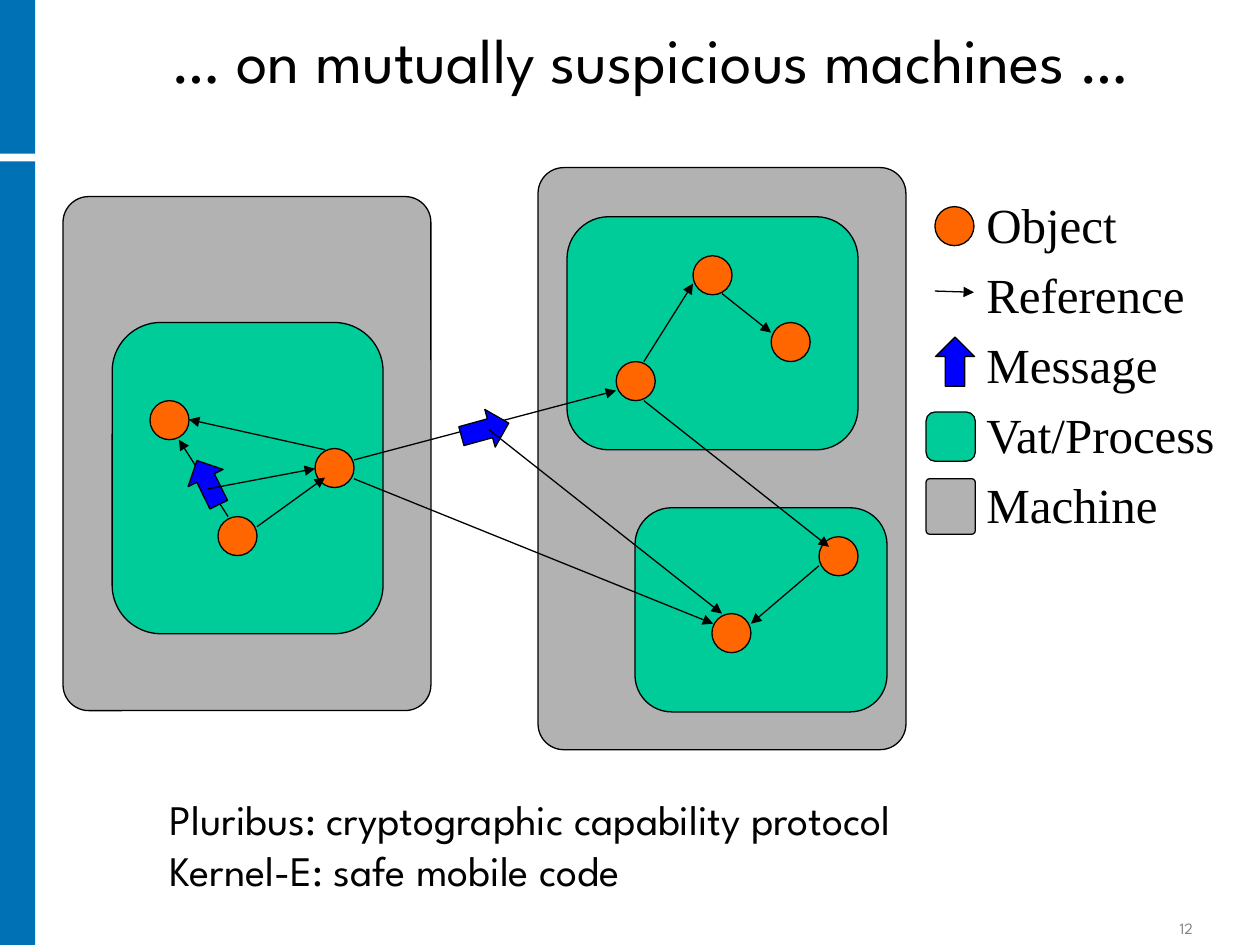
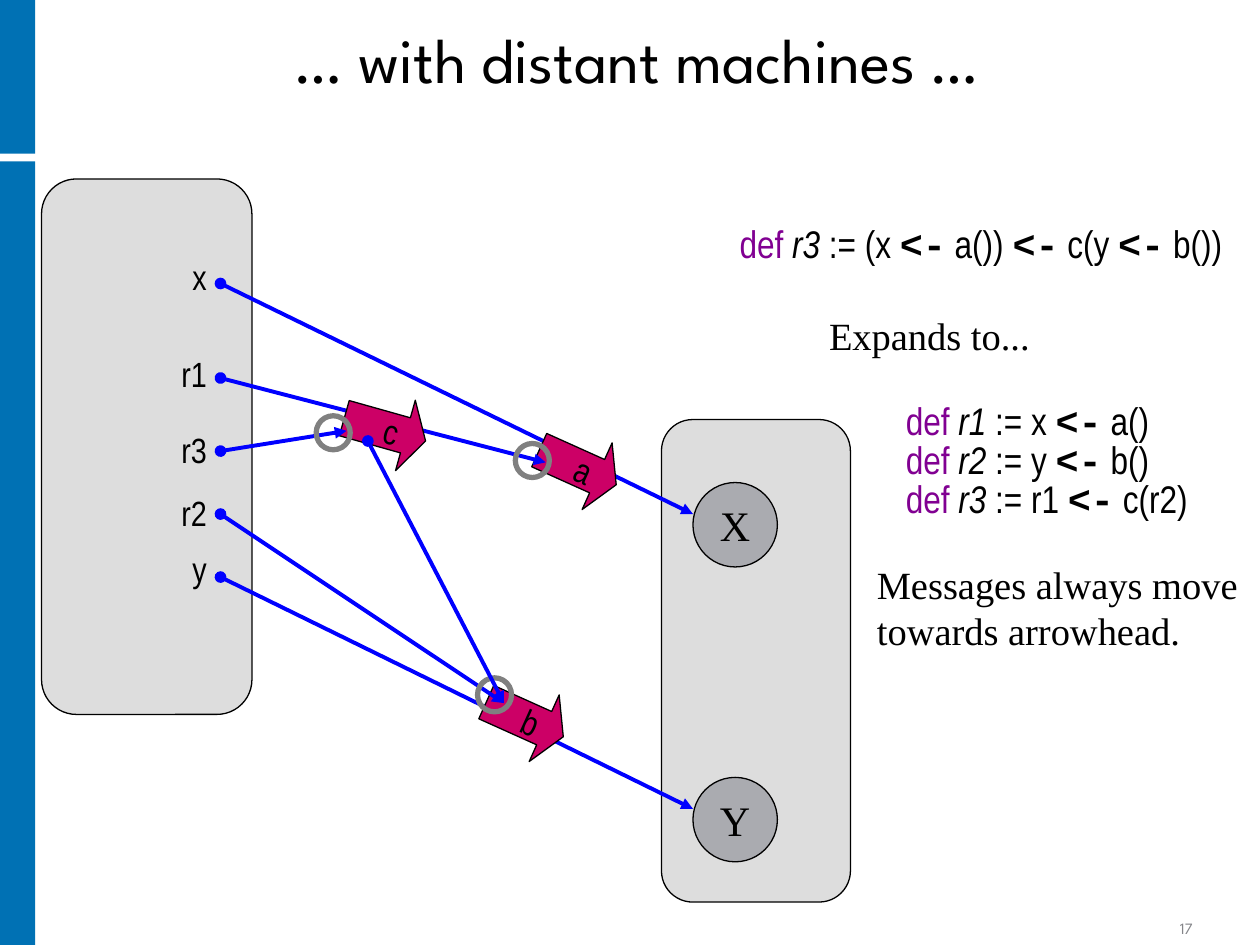
from dataclasses import dataclass

from lxml import etree
from pptx import Presentation
from pptx.dml.color import RGBColor
from pptx.enum.shapes import MSO_CONNECTOR, MSO_SHAPE
from pptx.enum.text import MSO_ANCHOR, PP_ALIGN
from pptx.oxml.ns import qn
from pptx.slide import Slide
from pptx.util import Inches, Pt

RECTANGLE = MSO_SHAPE.RECTANGLE
ROUNDED = MSO_SHAPE.ROUNDED_RECTANGLE
OVAL = MSO_SHAPE.OVAL
UP_ARROW = MSO_SHAPE.UP_ARROW
RIGHT_ARROW = MSO_SHAPE.RIGHT_ARROW
STRAIGHT = MSO_CONNECTOR.STRAIGHT
LEFT, CENTER, RIGHT = PP_ALIGN.LEFT, PP_ALIGN.CENTER, PP_ALIGN.RIGHT
TOP, MIDDLE, BOTTOM = MSO_ANCHOR.TOP, MSO_ANCHOR.MIDDLE, MSO_ANCHOR.BOTTOM

COLORS = {
    "band": "0071B4",
    "black": "000000",
    "machine": "B2B2B2",
    "vat": "00CC99",
    "object": "FF6600",
    "blue": "0000FF",
    "distant_machine": "DDDDDD",
    "distant_object": "AAABB0",
    "call": "CC0066",
    "ring": "808080",
    "keyword": "810092",
    "page_number": "848589",
}
TITLE_FONT = "League Spartan"
SERIF = "Times New Roman"
NARROW = "Arial Narrow"
MONO = "Courier New"

OBJECT_SIZE = 0.31
MESSAGE_WIDTH, MESSAGE_LENGTH = 0.31, 0.39
CALL_WIDTH, CALL_HEIGHT = 0.67, 0.58
RING_SIZE = 0.27


def rgb(name):
    return RGBColor.from_string(COLORS[name])


def write(paragraph, text, font=TITLE_FONT, size=24, color="black", bold=False, italic=False):
    run = paragraph.add_run()
    run.text = text
    run.font.name = font
    run.font.size = Pt(size)
    run.font.bold = bold
    run.font.italic = italic
    run.font.color.rgb = rgb(color)


def write_lines(frame, text, align=LEFT, spacing=1.0, **style):
    for index, line in enumerate(text.split("\n")):
        paragraph = frame.paragraphs[0] if index == 0 else frame.add_paragraph()
        paragraph.alignment = align
        paragraph.line_spacing = spacing
        write(paragraph, line, **style)


@dataclass
class Region:
    """A part of a slide whose contents are measured from its left top corner."""

    slide: Slide
    left: float
    top: float

    def place(self, x, y):
        return Inches(self.left + x), Inches(self.top + y)

    def shape(self, kind, x, y, width, height, fill=None, line="black", weight=0.75,
              corner=None, rotation=0):
        shape = self.slide.shapes.add_shape(
            kind, *self.place(x, y), Inches(width), Inches(height))
        shape.shadow.inherit = False
        shape.rotation = rotation
        if corner is not None:
            shape.adjustments[0] = corner
        if fill:
            shape.fill.solid()
            shape.fill.fore_color.rgb = rgb(fill)
        else:
            shape.fill.background()
        if line:
            shape.line.color.rgb = rgb(line)
            shape.line.width = Pt(weight)
        else:
            shape.line.fill.background()
        return shape

    def arrow(self, start, end, color="black", weight=0.75, dot=False):
        connector = self.slide.shapes.add_connector(
            STRAIGHT, *self.place(*start), *self.place(*end))
        connector.line.color.rgb = rgb(color)
        connector.line.width = Pt(weight)
        outline = connector.line._get_or_add_ln()
        if dot:
            etree.SubElement(outline, qn("a:headEnd"), type="oval")
        etree.SubElement(outline, qn("a:tailEnd"), type="triangle")
        etree.SubElement(connector._element.spPr, qn("a:effectLst"))

    def frame(self, x, y, width, height, anchor=TOP):
        box = self.slide.shapes.add_textbox(
            *self.place(x, y), Inches(width), Inches(height))
        box.text_frame.word_wrap = True
        box.text_frame.vertical_anchor = anchor
        return box.text_frame

    def text(self, x, y, width, height, text, anchor=TOP, **style):
        write_lines(self.frame(x, y, width, height, anchor), text, **style)

    def machine(self, x, y, width, height):
        self.shape(ROUNDED, x, y, width, height, "machine", corner=0.07)

    def vat(self, x, y, width, height):
        self.shape(ROUNDED, x, y, width, height, "vat", corner=0.18)

    def object(self, x, y):
        self.shape(OVAL, x, y, OBJECT_SIZE, OBJECT_SIZE, "object")

    def message(self, center_x, center_y, rotation=0):
        self.shape(UP_ARROW, center_x - MESSAGE_WIDTH / 2, center_y - MESSAGE_LENGTH / 2,
                   MESSAGE_WIDTH, MESSAGE_LENGTH, "blue", rotation=rotation)


def add_base(presentation, title, title_left, title_width, number):
    """Add a slide with the side band, title and page number."""
    slide = presentation.slides.add_slide(presentation.slide_layouts[6])
    page = Region(slide, 0, 0)
    for top, height in ((0, 1.22), (1.28, 6.22)):
        page.shape(RECTANGLE, 0, top, 0.28, height, "band", line=None)
    page.text(title_left, 0.12, title_width, 0.7, title, anchor=BOTTOM,
              align=CENTER, spacing=0.9, size=36)
    page.text(9, 7.25, 0.83, 0.24, str(number), anchor=BOTTOM,
              align=CENTER, size=9, color="page_number")
    return slide


def draw_suspicious_machines(region):
    for box in ((3.77, 0, 2.92, 4.62), (0, 0.23, 2.92, 4.08)):
        region.machine(*box)
    for box in ((0.39, 1.23, 2.15, 2.47), (4, 0.39, 2.31, 1.85), (4.54, 2.7, 2, 1.62)):
        region.vat(*box)
    for corner in ((0.69, 1.85), (1.23, 2.77), (2, 2.23), (4.39, 1.54),
                   (5, 0.7), (5.62, 1.23), (6, 2.93), (5.15, 3.54)):
        region.object(*corner)
    references = (
        ((1.31, 2.77), (0.92, 2.16)),
        ((1.54, 2.85), (2.08, 2.46)),
        ((2.08, 2.24), (1, 2)),
        ((2.31, 2.32), (4.39, 1.77)),
        ((4.61, 1.54), (5, 0.92)),
        ((5.23, 1), (5.62, 1.31)),
        ((4.61, 1.85), (6.08, 3.01)),
        ((6, 3.16), (5.46, 3.62)),
        ((2.31, 2.47), (5.16, 3.62)),
    )
    for start, end in references:
        region.arrow(start, end)
    region.message(1.15, 2.5, rotation=333.8)
    region.arrow((1.15, 2.55), (2, 2.39))
    region.message(3.35, 2.08, rotation=74.6)
    region.arrow((3.38, 2.08), (5.23, 3.54))


def draw_legend(region):
    region.object(0.07, 0.11)
    region.arrow((0.07, 0.78), (0.38, 0.79))
    region.message(0.23, 1.34)
    region.vat(0, 1.74, 0.39, 0.39)
    region.machine(0, 2.27, 0.39, 0.44)
    for row, label in enumerate(("Object", "Reference", "Message", "Vat/Process", "Machine")):
        region.text(0.38, row * 0.555, 2.27, 0.55, label, spacing=0.95, font=SERIF, size=28)


def draw_distant_machines(region):
    dot_x = 1.42
    variables = {"x": 0.83, "r1": 1.58, "r3": 2.16, "r2": 2.66, "y": 3.16}
    label_tops = {"x": 0.56, "r1": 1.33, "r3": 1.93, "r2": 2.43, "y": 2.88}

    def reference(start, end):
        region.arrow(start, end, color="blue", weight=2.25, dot=True)

    def variable_reference(name, end):
        reference((dot_x, variables[name]), end)

    def call(name, x, y, rotation):
        shape = region.shape(RIGHT_ARROW, x, y, CALL_WIDTH, CALL_HEIGHT, "call",
                             rotation=rotation)
        shape.adjustments[1] = 0.286
        frame = shape.text_frame
        frame.word_wrap = False
        frame.vertical_anchor = MIDDLE
        frame.margin_left = Inches(0.29)
        write_lines(frame, name, align=CENTER, font=NARROW, size=20)

    def ring(x, y):
        region.shape(OVAL, x, y, RING_SIZE, RING_SIZE, line="ring", weight=3)

    for box in ((0, 0, 1.67, 4.25), (4.92, 1.91, 1.5, 3.83)):
        region.shape(ROUNDED, *box, "distant_machine", corner=0.166)
    for name, top in label_tops.items():
        region.text(0.81, top, 0.6, 0.44, name, align=RIGHT, font=NARROW, size=20)
    for name, top in (("X", 2.41), ("Y", 4.75)):
        shape = region.shape(OVAL, 5.17, top, 0.67, 0.67, "distant_object")
        shape.text_frame.word_wrap = False
        shape.text_frame.vertical_anchor = MIDDLE
        write_lines(shape.text_frame, name, align=CENTER, font=SERIF)
        variable_reference(name.lower(), (5.17, top + 0.25))

    call("a", 3.92, 2, 24.2)
    variable_reference("r1", (4, 2.25))
    ring(3.76, 2.1)
    call("b", 3.5, 4, 24.2)
    variable_reference("r2", (3.67, 4.16))
    ring(3.46, 3.96)
    call("c", 2.39, 1.7, 15.7)
    variable_reference("r3", (2.42, 2))
    reference((2.59, 2.08), (3.67, 4.16))
    ring(2.18, 1.88)


def write_code(paragraph, name, expression):
    """Write a definition with a coloured keyword, slanted name and bold send operators."""
    style = {"font": NARROW, "size": 22}
    paragraph.line_spacing = Pt(22.5)
    write(paragraph, "def ", color="keyword", **style)
    write(paragraph, name, italic=True, **style)
    for index, part in enumerate(f" := {expression}".split("<-")):
        if index:
            write(paragraph, "<-", font=MONO, size=22, bold=True)
        write(paragraph, part, **style)


def draw_expansion(region):
    """Write the one-line definition, its expansion and the remark below."""
    frame = region.frame(0, 0, 4.34, 3.39)
    frame.margin_left = frame.margin_right = frame.margin_top = frame.margin_bottom = 0
    # Left indent, space before, defined name (None for prose), text
    lines = (
        (0.21, 0, "r3", "(x <- a()) <- c(y <- b())"),
        (0.92, 26, None, "Expands to..."),
        (1.53, 26, "r1", "x <- a()"),
        (1.53, 0, "r2", "y <- b()"),
        (1.53, 0, "r3", "r1 <- c(r2)"),
        (1.3, 22.5, None, "Messages always move"),
        (1.3, 0, None, "towards arrowhead."),
    )
    for index, (indent, space, name, text) in enumerate(lines):
        paragraph = frame.paragraphs[0] if index == 0 else frame.add_paragraph()
        paragraph.space_before = Pt(space)
        properties = paragraph._p.get_or_add_pPr()
        properties.set("marL", str(Inches(indent)))
        properties.set("indent", "0")
        if name:
            write_code(paragraph, name, text)
        else:
            write(paragraph, text, font=SERIF, size=22)


def main():
    presentation = Presentation()
    presentation.slide_width = Inches(10)
    presentation.slide_height = Inches(7.5)

    slide = add_base(presentation, "… on mutually suspicious machines …", 0.33, 9.67, 12)
    draw_suspicious_machines(Region(slide, 0.5, 1.33))
    draw_legend(Region(slide, 7.35, 1.53))
    Region(slide, 1.25, 6.25).text(
        0, 0, 6.82, 0.9,
        "Pluribus: cryptographic capability protocol\nKernel-E: safe mobile code")

    slide = add_base(presentation, "… with distant machines …", 1.3, 7.51, 17)
    draw_distant_machines(Region(slide, 0.33, 1.42))
    draw_expansion(Region(slide, 5.66, 1.8))

    presentation.save("out.pptx")


if __name__ == "__main__":
    main()
